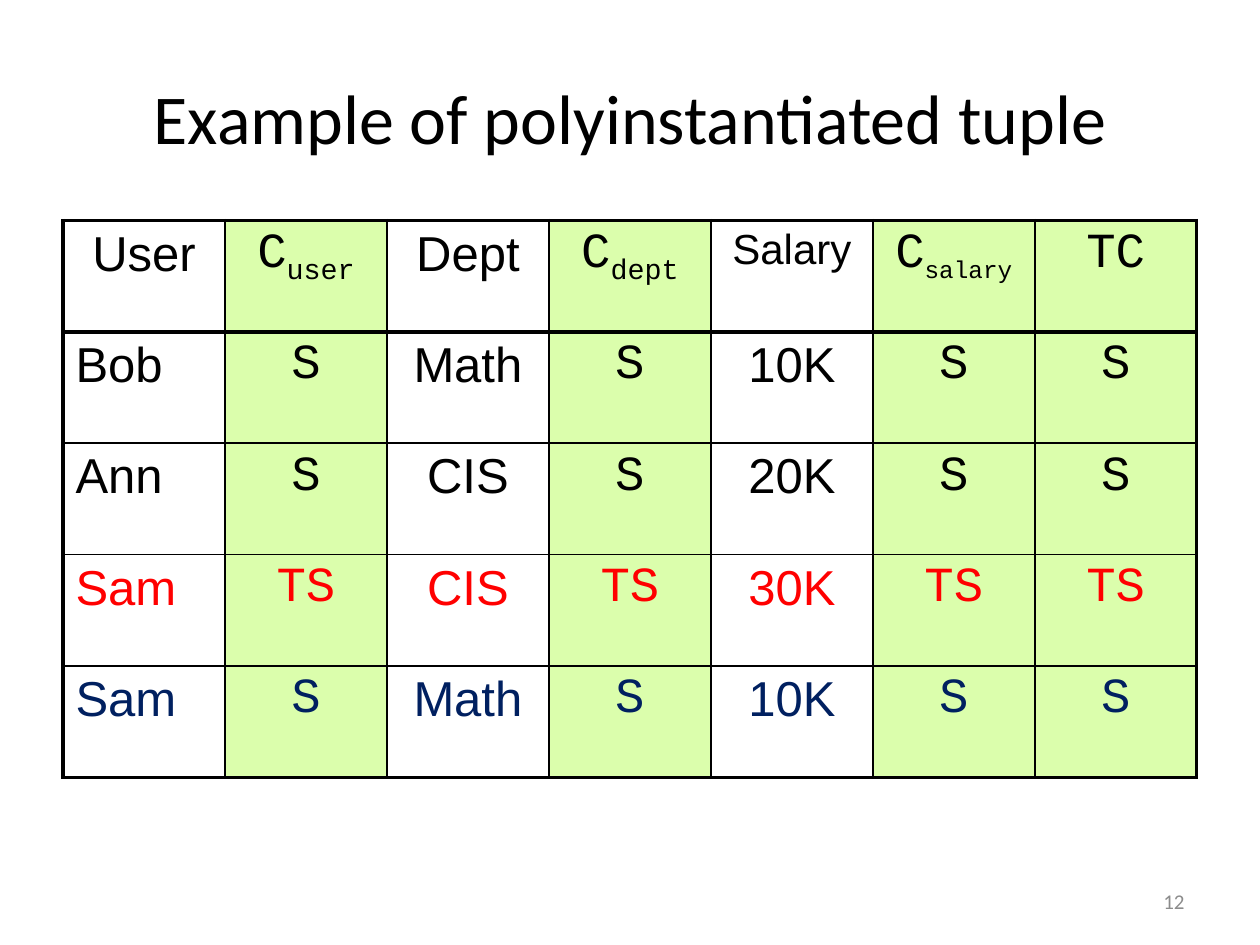
import dataclasses

import lxml.etree
import pptx
import pptx.dml.color
import pptx.enum.text
import pptx.oxml.ns
import pptx.util

Inches = pptx.util.Inches
Align = pptx.enum.text.PP_ALIGN
Anchor = pptx.enum.text.MSO_ANCHOR


@dataclasses.dataclass(frozen=True)
class Theme:
    """Colours, fonts and sizes of the slide."""
    black: str = "000000"
    red: str = "FF0000"
    navy: str = "002060"
    grey: str = "8C8C8C"
    green: str = "DBFEAC"
    head: str = "Calibri"
    sans: str = "Arial"
    mono: str = "Courier New"
    title: int = 40
    body: int = 28
    small: int = 24
    foot: int = 12
    thin: float = 1
    edge: float = 2.25
    rule: float = 3


THEME = Theme()
HEADS = [
    [("User", THEME.body)],
    [("C", THEME.body), ("user", THEME.body)],
    [("Dept", THEME.body)],
    [("C", THEME.body), ("dept", THEME.body)],
    [("Salary", THEME.small)],
    [("C", THEME.body), ("salary", THEME.small)],
    [("TC", THEME.body)],
]
TUPLES = [
    (THEME.black, ["Bob", "S", "Math", "S", "10K", "S", "S"]),
    (THEME.black, ["Ann", "S", "CIS", "S", "20K", "S", "S"]),
    (THEME.red, ["Sam", "TS", "CIS", "TS", "30K", "TS", "TS"]),
    (THEME.navy, ["Sam", "S", "Math", "S", "10K", "S", "S"]),
]
LABELS = (1, 3, 5, 6)


def add_node(parent, tag, **attrs):
    """Append an XML child with the given attributes."""
    return lxml.etree.SubElement(parent, pptx.oxml.ns.qn(tag), attrs)


def add_run(para, text, face, size, color):
    """Add one styled run to a paragraph."""
    run = para.add_run()
    run.text = text
    run.font.name = face
    run.font.size = pptx.util.Pt(size)
    run.font.color.rgb = pptx.dml.color.RGBColor.from_string(color)
    return run


def add_edge(cell, side, width):
    """Draw one solid border of a cell."""
    line = add_node(cell._tc.get_or_add_tcPr(), "a:ln" + side,
                    w=str(pptx.util.Pt(width)))
    add_node(add_node(line, "a:solidFill"), "a:srgbClr", val=THEME.black)


def fill_cell(cell, parts, color, align, label, edges):
    """Set the borders, fill and text of one cell."""
    for side, width in edges.items():
        add_edge(cell, side, width)
    if label:
        cell.fill.solid()
        cell.fill.fore_color.rgb = pptx.dml.color.RGBColor.from_string(THEME.green)
    else:
        cell.fill.background()
    para = cell.text_frame.paragraphs[0]
    para.alignment = align
    space = add_node(para._p.get_or_add_pPr(), "a:spcBef")
    add_node(space, "a:spcPct", val="20000")
    face = THEME.mono if label else THEME.sans
    for place, (text, size) in enumerate(parts):
        run = add_run(para, text, face, size, color)
        if place:
            run._r.get_or_add_rPr().set("baseline", "-25000")


def add_title(slide, box, text):
    """Place and style the title."""
    shape = slide.shapes.title
    shape.left, shape.top, shape.width, shape.height = box
    frame = shape.text_frame
    frame.vertical_anchor = Anchor.MIDDLE
    para = frame.paragraphs[0]
    para.alignment = Align.CENTER
    add_run(para, text, THEME.head, THEME.title, THEME.black)


def add_grid(slide, box, heads, tuples):
    """Fill the box with an even table of tuples."""
    rows = [(THEME.black, heads)]
    rows += [(color, [[(text, THEME.body)] for text in row]) for color, row in tuples]
    high, wide = len(rows), len(heads)
    table = slide.shapes.add_table(high, wide, *box).table
    table.first_row = table.horz_banding = False
    for col in table.columns:
        col.width = box[2] // wide
    for row in table.rows:
        row.height = box[3] // high
    across = [THEME.edge, THEME.rule] + [THEME.thin] * (high - 2) + [THEME.edge]
    down = [THEME.edge] + [THEME.thin] * (wide - 1) + [THEME.edge]
    for y, (color, row) in enumerate(rows):
        for x, parts in enumerate(row):
            edges = {"L": down[x], "R": down[x + 1],
                     "T": across[y], "B": across[y + 1]}
            align = Align.LEFT if y and not x else Align.CENTER
            fill_cell(table.cell(y, x), parts, color, align, x in LABELS, edges)


def add_foot(slide, box, text):
    """Place the page number."""
    frame = slide.shapes.add_textbox(*box).text_frame
    frame.word_wrap = True
    frame.vertical_anchor = Anchor.MIDDLE
    para = frame.paragraphs[0]
    para.alignment = Align.RIGHT
    add_run(para, text, THEME.head, THEME.foot, THEME.grey)


def main():
    """Build and save the deck."""
    deck = pptx.Presentation()
    deck.slide_width, deck.slide_height = Inches(10), Inches(7.5)
    slide = deck.slides.add_slide(deck.slide_layouts[5])
    add_title(slide, (Inches(0.5), Inches(0.3), Inches(9), Inches(1.25)),
              "Example of polyinstantiated tuple")
    add_grid(slide, (Inches(0.5), Inches(1.75), Inches(9), Inches(4.42)),
             HEADS, TUPLES)
    add_foot(slide, (Inches(7.17), Inches(6.95), Inches(2.33), Inches(0.4)), "12")
    deck.save("out.pptx")


if __name__ == "__main__":
    main()
